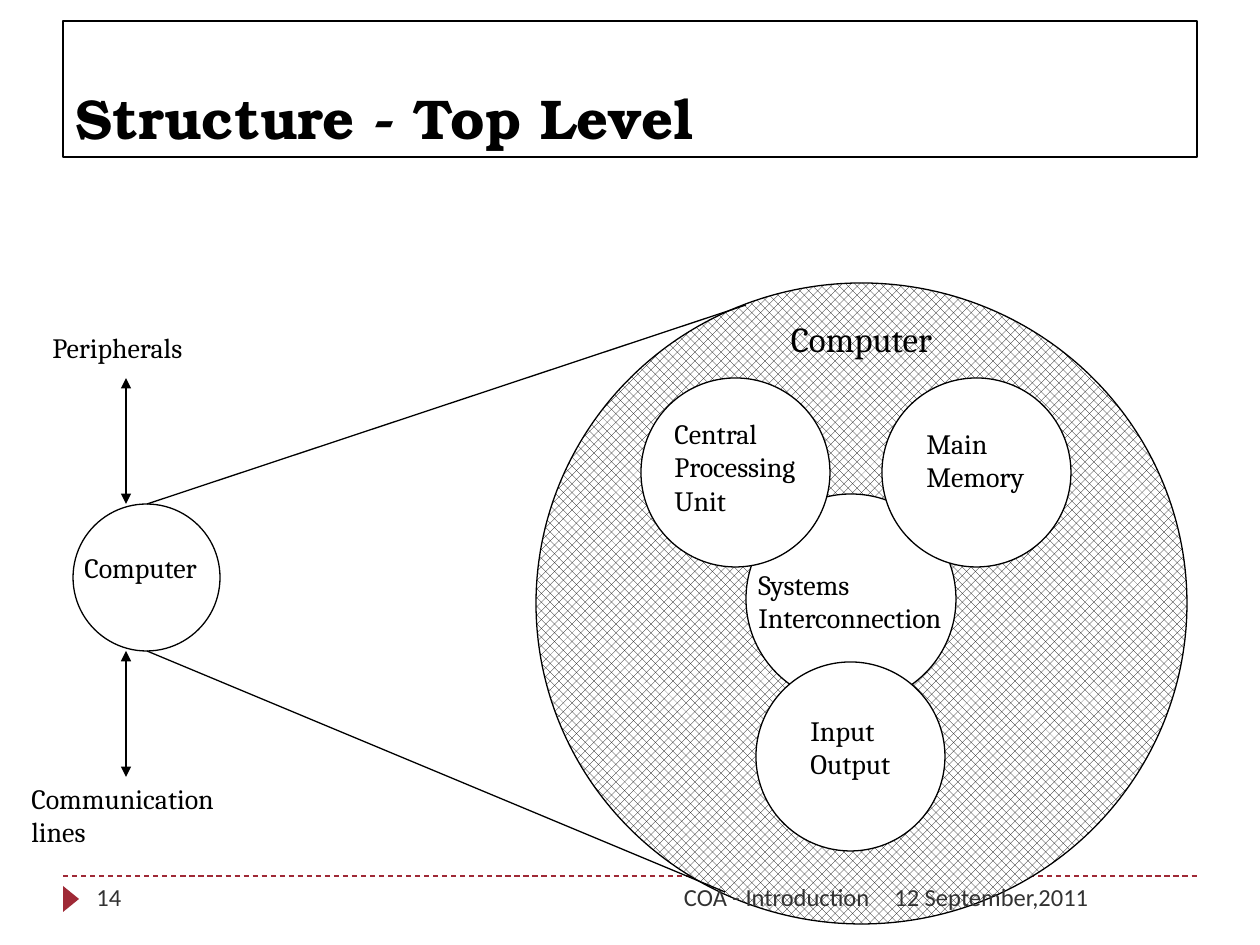
"""Build the slide on the top-level structure of a computer."""
import pptx
import pptx.util
import pptx.dml.color
import pptx.enum.dml
import pptx.enum.shapes
import pptx.enum.text
import pptx.oxml
import pptx.oxml.ns

SCALE = 914400 / 126
BLACK, WHITE, RED, GREY = "000000", "FFFFFF", "9F2936", "323232"
FORMS = pptx.enum.shapes.MSO_SHAPE
ALIGN = pptx.enum.text.PP_ALIGN
ANCHOR = pptx.enum.text.MSO_ANCHOR

RULES = [(63, 876, 1197, 876), (63, 157, 1197, 157)]
MARKER = (58, 891, 26, 16)
TITLE = ("Structure - Top Level", (63, 21, 1134, 136))
CIRCLES = [
    ((536, 283, 651, 641), "hatch"),
    ((746, 494, 210, 210), WHITE),
    ((641, 378, 189, 189), WHITE),
    ((73, 504, 147, 147), None),
    ((882, 378, 189, 189), WHITE),
    ((756, 662, 189, 189), WHITE),
]
FOOTERS = [
    ("12 September,2011", (882, 876, 315, 50), ALIGN.LEFT),
    ("COA - Introduction", (399, 876, 483, 50), ALIGN.RIGHT),
    ("14", (84, 876, 273, 50), ALIGN.LEFT),
]
LABELS = [
    (["Computer"], (72, 544, 147, 47)),
    (["Main", "Memory"], (914, 420, 126, 81)),
    (["Input", "Output"], (798, 707, 110, 81)),
    (["Systems", "Interconnection"], (746, 561, 217, 81)),
    (["Peripherals"], (40, 324, 166, 47)),
    (["Communication", "lines"], (19, 775, 219, 81)),
    (["Central", "Processing", "Unit"], (662, 410, 171, 113)),
]
HEADING = ("Computer", (772, 311, 179, 54))
RAYS = [(147, 504, 746, 305), (147, 651, 725, 892)]
ARROWS = [(126, 378, 126, 504), (126, 651, 126, 777)]


def px(vals):
    return [pptx.util.Emu(round(v * SCALE)) for v in vals]


def color(code):
    return pptx.dml.color.RGBColor.from_string(code)


def apply(obj, vals):
    for key, val in vals.items():
        setattr(obj, key, val)


def form(slide, kind, box, fill=None, edge=BLACK):
    item = slide.shapes.add_shape(kind, *px(box))
    item.shadow.inherit = False
    if fill == "hatch":
        item.fill.patterned()
        item.fill.pattern = pptx.enum.dml.MSO_PATTERN.PERCENT_50
        item.fill.fore_color.rgb = color(BLACK)
        item.fill.back_color.rgb = color(WHITE)
    elif fill:
        item.fill.solid()
        item.fill.fore_color.rgb = color(fill)
    else:
        item.fill.background()
    if edge:
        item.line.color.rgb = color(edge)
        item.line.width = pptx.util.Pt(0.75)
    else:
        item.line.fill.background()
    return item


def line(slide, ends, edge=BLACK, dash=False, heads=False):
    kind = pptx.enum.shapes.MSO_CONNECTOR.STRAIGHT
    item = slide.shapes.add_connector(kind, *px(ends))
    item.line.color.rgb = color(edge)
    item.line.width = pptx.util.Pt(0.75)
    if dash:
        item.line.dash_style = pptx.enum.dml.MSO_LINE.DASH
    if heads:
        stroke = item.line._get_or_add_ln()
        for tag in ("a:headEnd", "a:tailEnd"):
            end = pptx.oxml.parse_xml(f"<{tag} {pptx.oxml.ns.nsdecls('a')}/>")
            end.set("type", "triangle")
            stroke.append(end)
    props = item._element.spPr
    props.append(pptx.oxml.parse_xml(
        f"<a:effectLst {pptx.oxml.ns.nsdecls('a')}/>"))


def write(item, rows, font, tone=BLACK, align=ALIGN.LEFT,
          anchor=ANCHOR.TOP, wrap=True):
    frame = item.text_frame
    apply(frame, {"word_wrap": wrap, "vertical_anchor": anchor})
    if not wrap:
        frame.auto_size = pptx.enum.text.MSO_AUTO_SIZE.SHAPE_TO_FIT_TEXT
    for num, row in enumerate(rows):
        para = frame.add_paragraph() if num else frame.paragraphs[0]
        para.alignment = align
        run = para.add_run()
        run.text = row
        apply(run.font, font)
        run.font.color.rgb = color(tone)


def main():
    deck = pptx.Presentation()
    deck.slide_width, deck.slide_height = px((1260, 945))
    slide = deck.slides.add_slide(deck.slide_layouts[6])
    small = {"name": "Calibri", "size": pptx.util.Pt(14)}
    body = {"name": "Cambria", "size": pptx.util.Pt(16)}
    large = {"name": "Cambria", "size": pptx.util.Pt(20)}
    bold = {"name": "TeX Gyre Bonum", "size": pptx.util.Pt(32), "bold": True}

    for ends in RULES:
        line(slide, ends, RED, dash=True)
    form(slide, FORMS.ISOSCELES_TRIANGLE, MARKER, RED, None).rotation = 90
    for box, fill in CIRCLES:
        form(slide, FORMS.OVAL, box, fill)
    text, box = TITLE
    write(form(slide, FORMS.RECTANGLE, box), [text], bold,
          anchor=ANCHOR.BOTTOM)
    for text, box, align in FOOTERS:
        write(slide.shapes.add_textbox(*px(box)), [text], small, GREY, align)
    for ends in RAYS:
        line(slide, ends)
    for ends in ARROWS:
        line(slide, ends, heads=True)
    for rows, box in LABELS:
        write(slide.shapes.add_textbox(*px(box)), rows, body, wrap=False)
    text, box = HEADING
    write(slide.shapes.add_textbox(*px(box)), [text], large,
          align=ALIGN.CENTER, anchor=ANCHOR.MIDDLE, wrap=False)
    deck.save("out.pptx")


if __name__ == "__main__":
    main()
